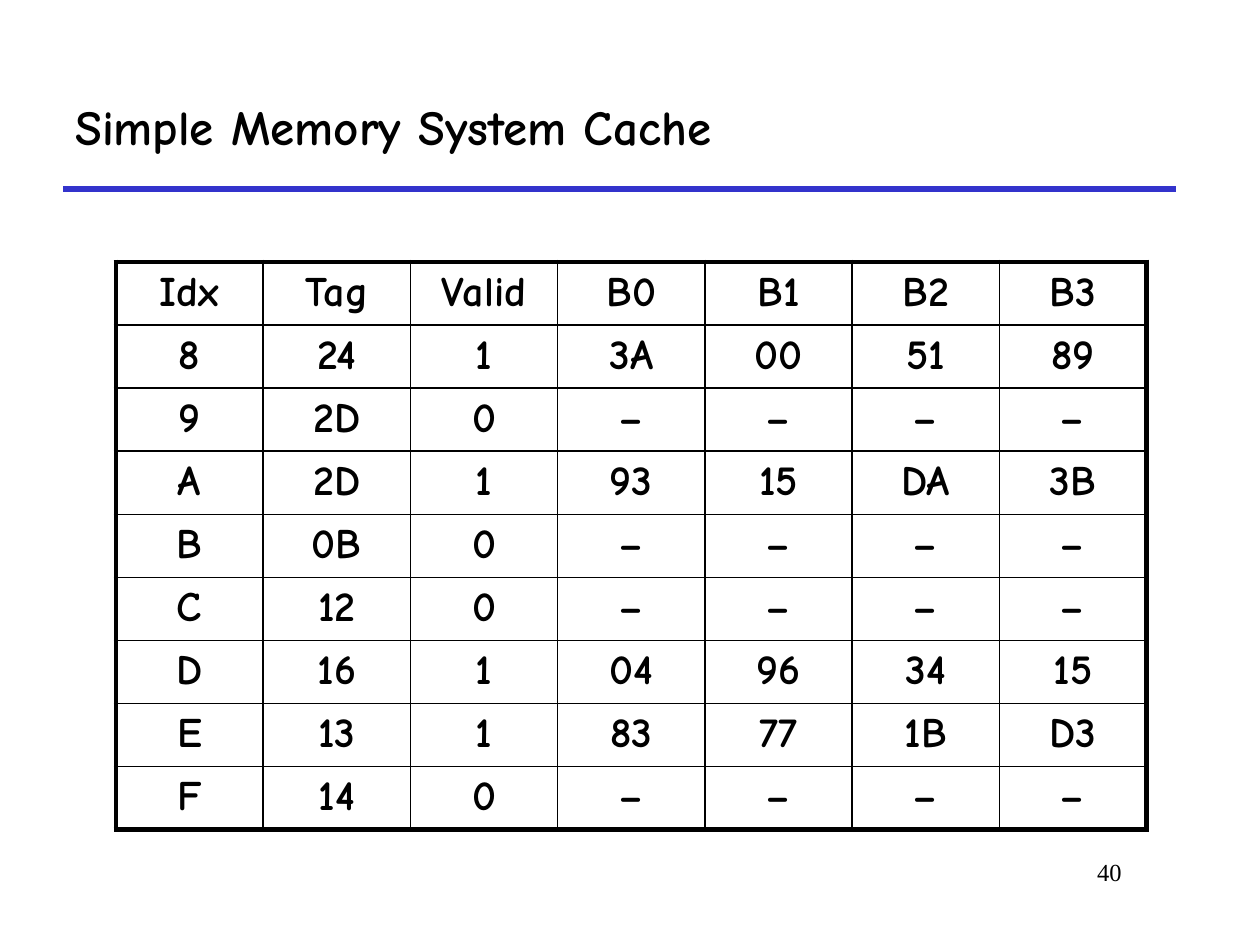
from lxml.etree import SubElement
from pptx import Presentation
from pptx.dml.color import RGBColor
from pptx.enum.shapes import MSO_CONNECTOR
from pptx.enum.text import MSO_ANCHOR as Anchor, PP_ALIGN as Align
from pptx.oxml.ns import qn
from pptx.util import Inches, Pt

BLACK = RGBColor(0x00, 0x00, 0x00)
BLUE = RGBColor(0x33, 0x33, 0xCC)
HAND_FONT = "Comic Neue"
NUMBER_FONT = "Times New Roman"
THIN, THICK = 1, 3

CACHE_LINES = [
    line.split()
    for line in (
        "Idx Tag Valid B0 B1 B2 B3",
        "8 24 1 3A 00 51 89",
        "9 2D 0 – – – –",
        "A 2D 1 93 15 DA 3B",
        "B 0B 0 – – – –",
        "C 12 0 – – – –",
        "D 16 1 04 96 34 15",
        "E 13 1 83 77 1B D3",
        "F 14 0 – – – –",
    )
]


def write_text(frame, text, size, font=HAND_FONT, bold=True, align=Align.LEFT):
    """Put one formatted paragraph into a text frame."""
    para = frame.paragraphs[0]
    para.alignment = align
    span = para.add_run()
    span.text = text
    span.font.size = Pt(size)
    span.font.name = font
    span.font.bold = bold
    span.font.color.rgb = BLACK


def add_label(page, box, text, size, anchor=Anchor.TOP, **style):
    """Place a wrapping text box in the given box."""
    frame = page.shapes.add_textbox(*map(Inches, box)).text_frame
    frame.word_wrap = True
    frame.vertical_anchor = anchor
    write_text(frame, text, size, **style)


def add_header(page, box):
    """Place the title with the blue rule along the bottom of its box."""
    left, top, width, height = box
    bottom = Inches(top + height)
    rule = page.shapes.add_connector(
        MSO_CONNECTOR.STRAIGHT, Inches(left), bottom, Inches(left + width), bottom
    )
    rule.line.color.rgb = BLUE
    rule.line.width = Pt(3)
    SubElement(rule._element.spPr, qn("a:effectLst"))
    add_label(page, box, "Simple Memory System Cache", 28, anchor=Anchor.MIDDLE)


def set_borders(cell, **widths):
    """Draw the cell borders, each side with its width in points."""
    properties = cell._tc.get_or_add_tcPr()
    for side, width in widths.items():
        line = SubElement(properties, qn(f"a:ln{side}"), w=str(Pt(width)))
        fill = SubElement(line, qn("a:solidFill"))
        SubElement(fill, qn("a:srgbClr"), val=str(BLACK))


def add_cache_table(page, box, lines):
    """Place the cache table with a thick frame and a thin inner grid."""
    left, top, width, height = box
    last_row, last_column = len(lines) - 1, len(lines[0]) - 1
    table = page.shapes.add_table(
        last_row + 1, last_column + 1, *map(Inches, box)
    ).table
    table.first_row = table.horz_banding = False
    for column in table.columns:
        column.width = Inches(width / (last_column + 1))
    for row in table.rows:
        row.height = Inches(height / (last_row + 1))
    for r, line in enumerate(lines):
        for c, text in enumerate(line):
            cell = table.cell(r, c)
            write_text(cell.text_frame, text, 24, align=Align.CENTER)
            set_borders(
                cell,
                L=THICK if c == 0 else THIN,
                R=THICK if c == last_column else THIN,
                T=THICK if r == 0 else THIN,
                B=THICK if r == last_row else THIN,
            )
            cell.fill.background()


def main():
    """Build the slide and save the deck."""
    deck = Presentation()
    deck.slide_width, deck.slide_height = Inches(10), Inches(7.5)
    page = deck.slides.add_slide(deck.slide_layouts[6])
    add_header(page, (0.5, 0.5, 8.83, 1))
    add_cache_table(page, (0.92, 2.08, 8.18, 4.48), CACHE_LINES)
    add_label(page, (7.58, 6.75, 1.42, 0.5), "40", 14,
              font=NUMBER_FONT, bold=False, align=Align.RIGHT)
    deck.save("out.pptx")


if __name__ == "__main__":
    main()
